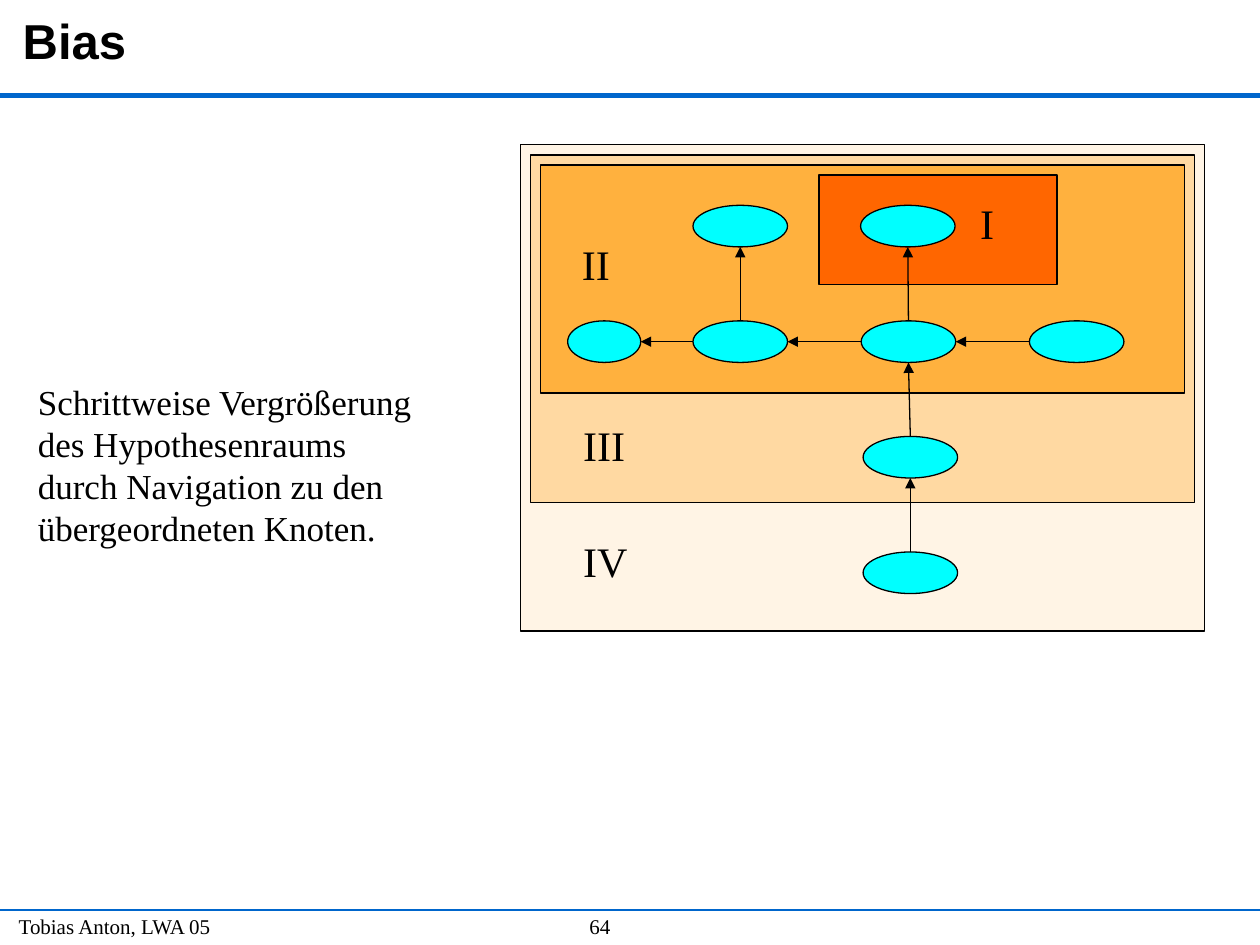
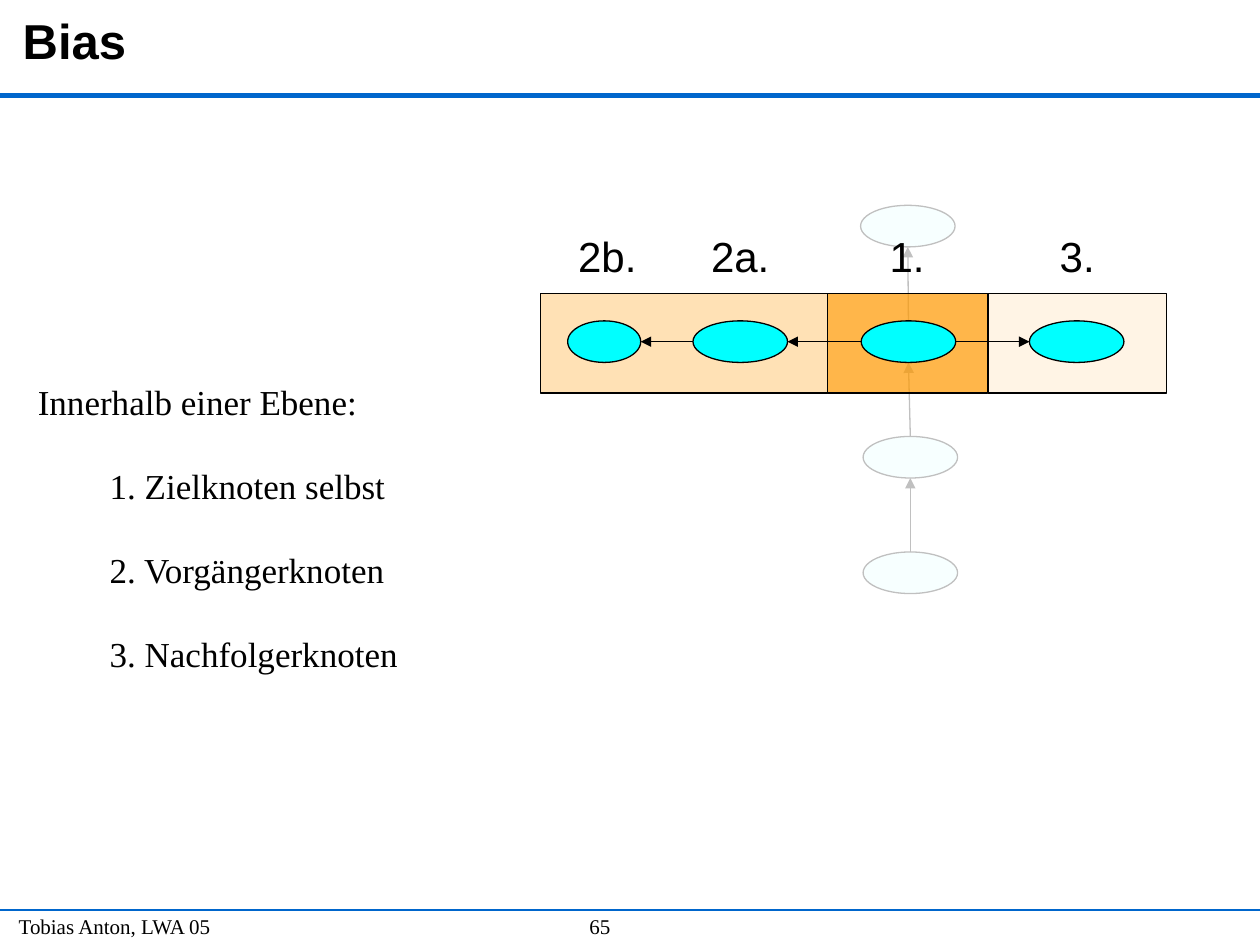
import dataclasses

import lxml.etree
import pptx
import pptx.dml.color
import pptx.enum.shapes
import pptx.enum.text
import pptx.oxml.ns
import pptx.util

SHAPES = pptx.enum.shapes.MSO_SHAPE
ALIGN = pptx.enum.text.PP_ALIGN


@dataclasses.dataclass(frozen=True)
class Theme:
    serif: str = "Times New Roman"
    sans: str = "Arial"
    ink: str = "000000"
    faded: str = "C0C0C0"
    rule: str = "0066CC"
    node: str = "00FFFF"
    level: str = "FF9900"
    core: str = "FF6600"
    title_size: int = 28
    label_size: int = 24
    body_size: int = 20
    footer_size: int = 12
    outline: float = 0.75


THEME = Theme()
CELL = pptx.util.Inches(0.1)  # the slide is a grid of 100 columns by 75 rows


@dataclasses.dataclass(frozen=True)
class Box:
    """An area of the slide, measured in grid columns and rows."""
    left: float
    top: float
    width: float
    height: float

    def inner(self, left, top, width, height):
        return Box(self.left + left, self.top + top, width, height)

    def side(self, name):
        across, down = {"top": (0.5, 0), "left": (0, 0.5),
                        "bottom": (0.5, 1), "right": (1, 0.5)}[name]
        return self.left + across * self.width, self.top + down * self.height

    def lengths(self):
        return [round(value * CELL) for value in
                (self.left, self.top, self.width, self.height)]


PAGE = Box(0, 0, 100, 75)
DIAGRAM = Box(41.3, 11.5, 54.3, 38.6)

# Node positions inside the diagram: centre column, row, width
ROW_TOP, ROW_PITCH, NODE_WIDTH, NODE_HEIGHT = 4.8, 9.17, 7.5, 3.3
NODES = {
    "second": (17.45, 0, NODE_WIDTH),
    "top": (30.75, 0, NODE_WIDTH),
    "first": (6.65, 1, 5.8),
    "previous": (17.45, 1, NODE_WIDTH),
    "target": (30.8, 1, NODE_WIDTH),
    "next": (44.15, 1, NODE_WIDTH),
    "parent": (30.95, 2, NODE_WIDTH),
    "root": (30.95, 3, NODE_WIDTH),
}
CHAIN = ["first", "previous", "target", "next"]
SPINE = ["top", "target", "parent", "root"]


# Drawing helpers
def rgb(color):
    return pptx.dml.color.RGBColor.from_string(color)


def style_text(para, size, name, bold=False):
    for span in para.runs:
        span.font.size = pptx.util.Pt(size)
        span.font.name = name
        span.font.bold = bold
        span.font.color.rgb = rgb(THEME.ink)


def add_label(page, box, text, size, name, align=ALIGN.LEFT):
    frame = page.shapes.add_textbox(*box.lengths()).text_frame
    frame.word_wrap = True
    frame.text = text
    frame.paragraphs[0].alignment = align
    style_text(frame.paragraphs[0], size, name)


def add_area(page, kind, box, color, opacity=100, line=THEME.ink):
    shape = page.shapes.add_shape(kind, *box.lengths())
    shape.shadow.inherit = False
    shape.fill.solid()
    shape.fill.fore_color.rgb = rgb(color)
    shape.line.color.rgb = rgb(line)
    shape.line.width = pptx.util.Pt(THEME.outline)
    if opacity < 100:
        fill = shape.fill._xPr.find(pptx.oxml.ns.qn("a:solidFill"))
        lxml.etree.SubElement(fill[0], pptx.oxml.ns.qn("a:alpha"),
                              val=str(opacity * 1000))


def add_line(page, start, end, color, width, arrow=False):
    points = [round(value * CELL) for value in (*start, *end)]
    line = page.shapes.add_connector(
        pptx.enum.shapes.MSO_CONNECTOR.STRAIGHT, *points)
    line.line.color.rgb = rgb(color)
    line.line.width = pptx.util.Pt(width)
    if arrow:
        lxml.etree.SubElement(line.line._get_or_add_ln(),
                              pptx.oxml.ns.qn("a:tailEnd"), type="triangle")
    lxml.etree.SubElement(line._element.spPr,
                          pptx.oxml.ns.qn("a:effectLst"))


# Parts of the diagram
def node_box(area, name):
    centre, row, width = NODES[name]
    return area.inner(centre - width / 2, ROW_TOP + row * ROW_PITCH,
                      width, NODE_HEIGHT)


def add_nodes(page, area, names, opacity=100, line=THEME.ink):
    for name in names:
        add_area(page, SHAPES.OVAL, node_box(area, name), THEME.node,
                 opacity, line)


def add_arrow(page, area, source, target, sides, color=THEME.ink):
    add_line(page, node_box(area, source).side(sides[0]),
             node_box(area, target).side(sides[1]),
             color, THEME.outline, arrow=True)


def add_spine_arrows(page, area, color=THEME.ink):
    for upper, lower in zip(SPINE, SPINE[1:]):
        add_arrow(page, area, lower, upper, ("top", "bottom"), color)


def add_chain_arrows(page, area, reverse_last=False):
    for before, after in zip(CHAIN, CHAIN[1:]):
        if reverse_last and after == CHAIN[-1]:
            add_arrow(page, area, before, after, ("right", "left"))
        else:
            add_arrow(page, area, after, before, ("left", "right"))


def draw_levels(page, area):
    # Nested hypothesis spaces, from the widest to the narrowest
    gap = 0.8
    for depth, (height, opacity) in enumerate(
            [(area.height, 10), (27.6, 29), (18.1, 61)]):
        inset = depth * gap
        box = area.inner(inset, inset, area.width - 2 * inset, height)
        add_area(page, SHAPES.RECTANGLE, box, THEME.level, opacity)
    add_area(page, SHAPES.RECTANGLE, area.inner(23.7, 3 * gap, 18.9, 8.7),
             THEME.core)
    # Knots and navigation
    add_nodes(page, area, NODES)
    add_spine_arrows(page, area)
    add_chain_arrows(page, area)
    add_arrow(page, area, "previous", "second", ("top", "bottom"))
    # Level numbers
    for text, left, top in [("I", 35.5, 3.7), ("II", 3.9, 6.9),
                            ("III", 4, 21.3), ("IV", 4, 30.5)]:
        add_label(page, area.inner(left, top, 8, 5), text,
                  THEME.label_size, THEME.serif)


def draw_single_level(page, area):
    # Faded levels above and below
    add_nodes(page, area, ["top", "parent", "root"], 3, THEME.faded)
    add_spine_arrows(page, area, THEME.faded)
    # Zones of the highlighted level
    for left, width, opacity in [(37.1, 14.2, 10), (1.6, 22.8, 29),
                                 (24.4, 12.7, 71)]:
        add_area(page, SHAPES.RECTANGLE, area.inner(left, 11.8, width, 7.9),
                 THEME.level, opacity)
    add_nodes(page, area, CHAIN)
    add_chain_arrows(page, area, reverse_last=True)
    # Search order above the zones
    for text, centre in [("2b.", 6.9), ("2a.", 17.45), ("1.", 30.7),
                         ("3.", 44.2)]:
        add_label(page, area.inner(centre - 5, 6.3, 10, 5), text,
                  THEME.label_size, THEME.sans, ALIGN.CENTER)


# Title, footer and text shared by the slides
def place(holder, box):
    holder.left, holder.top, holder.width, holder.height = box.lengths()
    holder.text_frame.word_wrap = True
    holder.text_frame.auto_size = pptx.enum.text.MSO_AUTO_SIZE.NONE
    holder.text_frame.vertical_anchor = pptx.enum.text.MSO_ANCHOR.TOP


def draw_title(page, area, text):
    title = page.shapes.title
    place(title, area.inner(0.8, 0.3, 90, 5.7))
    title.text_frame.text = text
    para = title.text_frame.paragraphs[0]
    para.alignment = ALIGN.LEFT
    style_text(para, THEME.title_size, THEME.sans, bold=True)
    add_line(page, (area.left, 7.6), (area.width, 7.6), THEME.rule, 3)


def draw_footer(page, area, number):
    add_line(page, (area.left, 72.2), (area.width, 72.2), THEME.rule, 1)
    for left, width, text in [(0.5, 25, "Tobias Anton, LWA 05"),
                              (45.8, 8.9, str(number))]:
        add_label(page, area.inner(left, 72, width, 3), text,
                  THEME.footer_size, THEME.serif)


def draw_body(page, box, lines, indent=0, gap=0):
    body = page.placeholders[1]
    place(body, box)
    body.text_frame.text = "\n".join(lines)
    for index, para in enumerate(body.text_frame.paragraphs):
        para.line_spacing = pptx.util.Pt(1.2 * THEME.body_size)
        para.space_before = pptx.util.Pt(gap if index else 0)
        properties = para._p.get_or_add_pPr()
        properties.set("marL", str(round(indent * CELL) if index else 0))
        properties.set("indent", "0")
        lxml.etree.SubElement(properties, pptx.oxml.ns.qn("a:buNone"))
        style_text(para, THEME.body_size, THEME.serif)


def add_page(deck, number):
    page = deck.slides.add_slide(deck.slide_layouts[1])
    draw_title(page, PAGE, "Bias")
    draw_footer(page, PAGE, number)
    return page


def main():
    deck = pptx.Presentation()
    deck.slide_width = round(PAGE.width * CELL)
    deck.slide_height = round(PAGE.height * CELL)

    # Growing hypothesis space
    page = add_page(deck, 64)
    draw_body(page, PAGE.inner(2, 29.7, 35.4, 14.4), [
        "Schrittweise Vergrößerung des Hypothesenraums",
        "durch Navigation zu den übergeordneten Knoten."])
    draw_levels(page, DIAGRAM)

    # Order within one level
    page = add_page(deck, 65)
    draw_body(page, PAGE.inner(2, 29.7, 38, 24.4), [
        "Innerhalb einer Ebene:", "1. Zielknoten selbst",
        "2. Vorgängerknoten", "3. Nachfolgerknoten"],
        indent=5.7, gap=1.2 * THEME.body_size)
    draw_single_level(page, DIAGRAM)

    deck.save("out.pptx")


if __name__ == "__main__":
    main()
